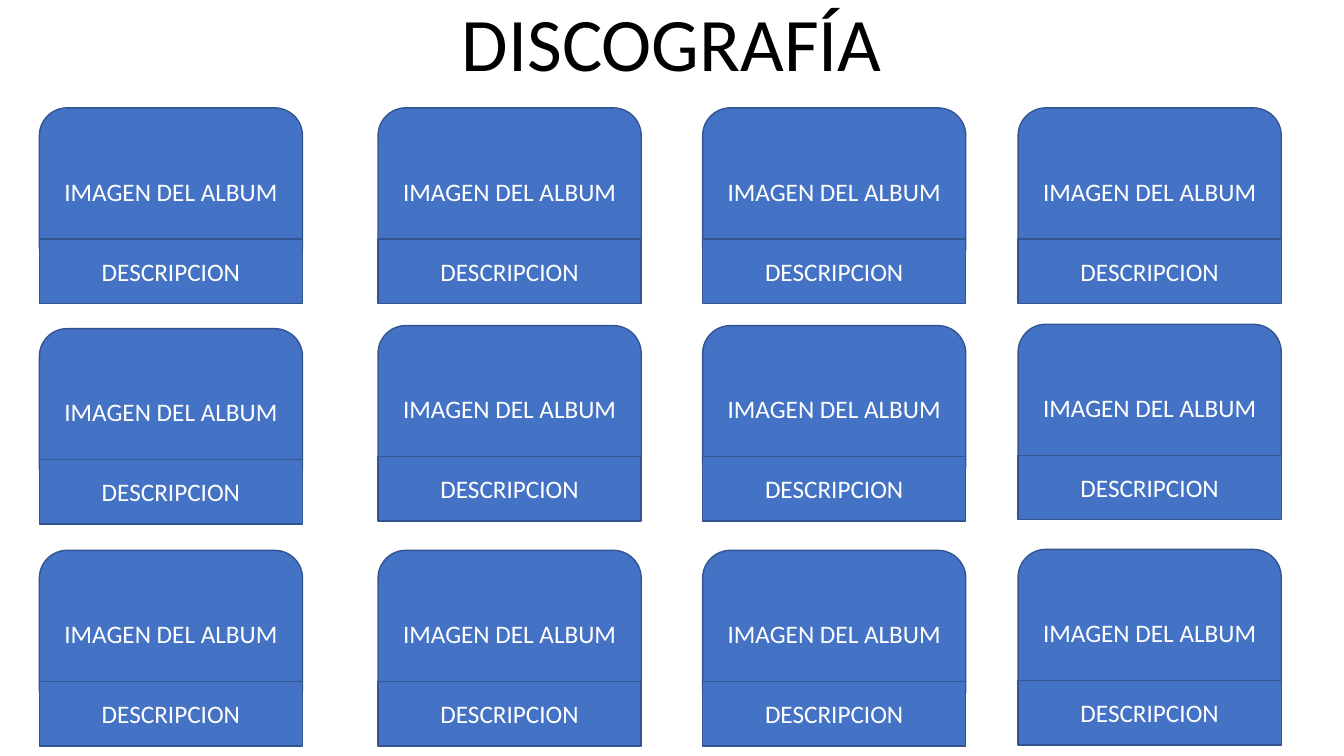
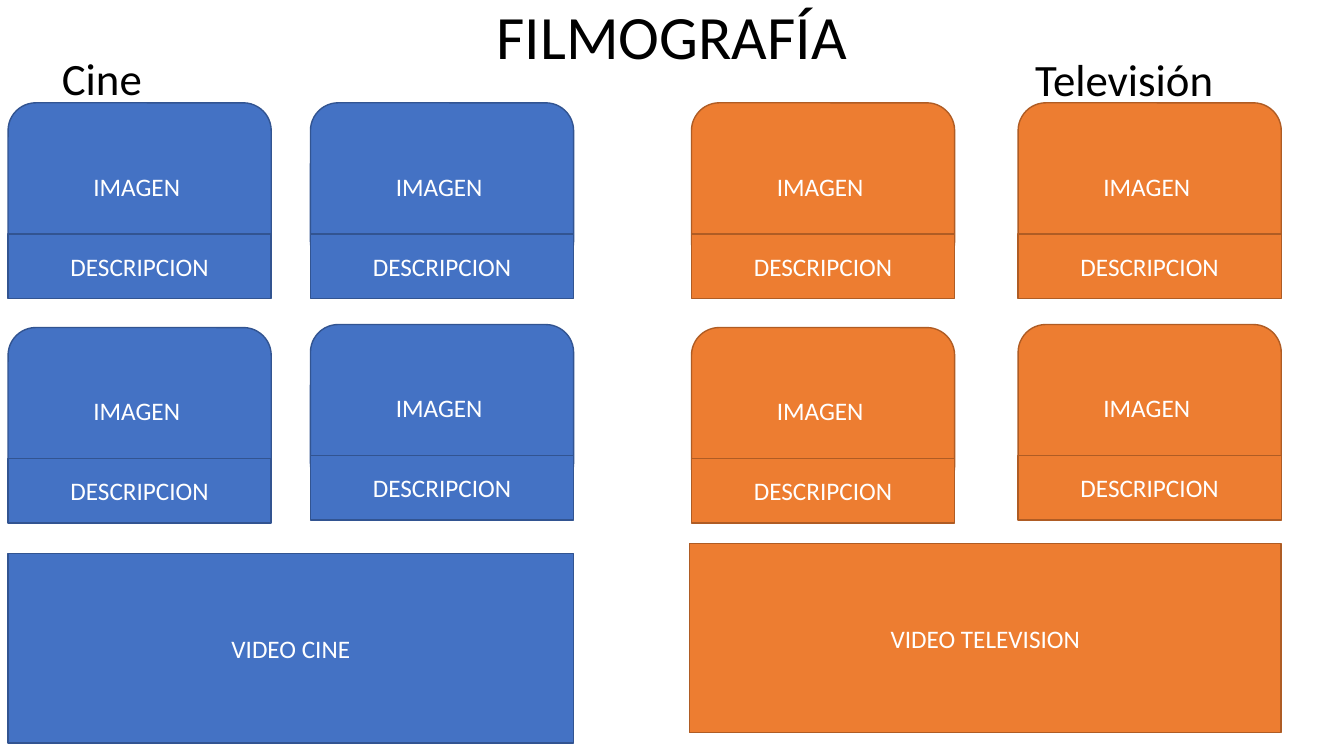
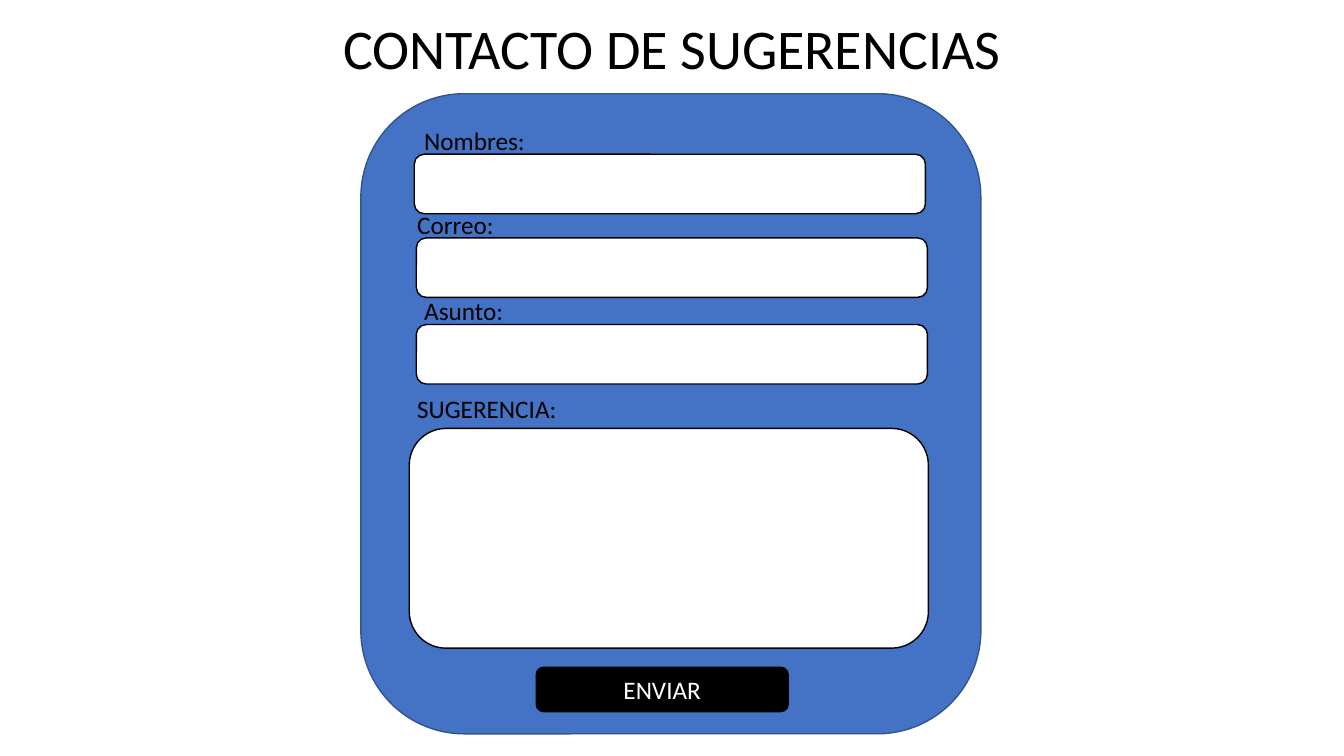
from dataclasses import dataclass
from pptx import Presentation
from pptx.dml.color import RGBColor
from pptx.enum.shapes import MSO_SHAPE
from pptx.enum.text import MSO_ANCHOR, PP_ALIGN
from pptx.util import Inches, Pt

ROUNDED, SQUARE = MSO_SHAPE.ROUNDED_RECTANGLE, MSO_SHAPE.RECTANGLE
LEFT, CENTER = PP_ALIGN.LEFT, PP_ALIGN.CENTER
TOP, MIDDLE = MSO_ANCHOR.TOP, MSO_ANCHOR.MIDDLE


@dataclass(frozen=True)
class Theme:
    font: str = "Calibri"
    ink: str = "000000"
    paper: str = "FFFFFF"
    blue: tuple = ("4472C4", "325491")
    orange: tuple = ("ED7D31", "AF5C24")
    field: tuple = ("FFFFFF", "000000")
    button: tuple = ("000000", "000000")
    body: int = 18
    heading: int = 32
    outline: int = 1


theme = Theme()
deck = Presentation()
deck.slide_width, deck.slide_height = Inches(13.33), Inches(7.5)
column, row = deck.slide_width / 100, deck.slide_height / 100


def add_text(slide, text, box, size=theme.body, color=theme.ink,
             align=LEFT, anchor=TOP, wrap=True, holder=None):
    if holder is None:
        left, top, width, height = box
        holder = slide.shapes.add_textbox(
            int(left * column), int(top * row), int(width * column), int(height * row))
    frame = holder.text_frame
    frame.word_wrap = wrap
    frame.vertical_anchor = anchor
    paragraph = frame.paragraphs[0]
    paragraph.alignment = align
    run = paragraph.add_run()
    run.text = text
    run.font.name = theme.font
    run.font.size = Pt(size)
    run.font.color.rgb = RGBColor.from_string(color)


def add_panel(slide, kind, box, colors, text=""):
    left, top, width, height = box
    panel = slide.shapes.add_shape(
        kind, int(left * column), int(top * row), int(width * column), int(height * row))
    panel.shadow.inherit = False
    fill, outline = colors
    panel.fill.solid()
    panel.fill.fore_color.rgb = RGBColor.from_string(fill)
    panel.line.color.rgb = RGBColor.from_string(outline)
    panel.line.width = Pt(theme.outline)
    if text:
        add_text(slide, text, box, color=theme.paper, align=CENTER,
                 anchor=MIDDLE, holder=panel)


titles = [
    ("DISCOGRAFÍA", 54, -1.2, 37.65, 13.47),
    ("FILMOGRAFÍA", 44, -0.93, 31.35, 11.2),
    ("CONTACTO DE SUGERENCIAS", 40, 1.07, 56.93, 10.27),
]
pages = []
for title, size, top, width, height in titles:
    page = deck.slides.add_slide(deck.slide_layouts[6])
    add_text(page, title, ((100 - width) / 2, top, width, height),
             size=size, align=CENTER, wrap=False)
    pages.append(page)
discography, filmography, contact = pages

add_text(filmography, "Cine", (3.83, 6, 7.5, 8.53),
         size=theme.heading, align=CENTER, wrap=False)
add_text(filmography, "Televisión", (76.28, 6.13, 16.5, 8.53), size=theme.heading)

card_columns = [
    (discography, "IMAGEN DEL ALBUM", theme.blue, 2.93, (14.27, 43.47, 72.8)),
    (discography, "IMAGEN DEL ALBUM", theme.blue, 28.13, (14.27, 43.07, 72.8)),
    (discography, "IMAGEN DEL ALBUM", theme.blue, 52.28, (14.27, 43.07, 72.8)),
    (discography, "IMAGEN DEL ALBUM", theme.blue, 75.75, (14.27, 42.9, 72.67)),
    (filmography, "IMAGEN ", theme.blue, 0.6, (13.6, 43.33)),
    (filmography, "IMAGEN ", theme.blue, 23.1, (13.6, 42.93)),
    (filmography, "IMAGEN ", theme.orange, 51.45, (13.6, 43.33)),
    (filmography, "IMAGEN ", theme.orange, 75.75, (13.6, 42.93)),
]
card_width, image_height, caption_offset, caption_height = 19.58, 22, 17.33, 8.53
for page, image_label, colors, left, tops in card_columns:
    for top in tops:
        add_panel(page, ROUNDED, (left, top, card_width, image_height), colors, image_label)
        add_panel(page, SQUARE, (left, top + caption_offset, card_width, caption_height),
                  colors, "DESCRIPCION")

add_panel(filmography, SQUARE, (0.6, 73.2, 42.08, 25.07), theme.blue, "VIDEO CINE")
add_panel(filmography, SQUARE, (51.3, 71.87, 44.03, 25.07), theme.orange, "VIDEO TELEVISION")

add_panel(contact, ROUNDED, (26.85, 12.4, 46.13, 84.67), theme.blue)
form_fields = [
    ("Nombres:", 30.83, 15.87, (30.83, 20.4, 38.03, 7.87)),
    ("Correo:", 30.3, 27.07, (30.98, 31.47, 38.03, 7.87)),
    ("Asunto:", 30.83, 38.4, (30.98, 42.93, 38.03, 7.87)),
    ("SUGERENCIA:", 30.3, 51.33, (30.45, 56.67, 38.63, 29.07)),
]
for label, left, top, field_box in form_fields:
    add_panel(contact, ROUNDED, field_box, theme.field)
    add_text(contact, label, (left, top, 12.53, 5.33))
add_panel(contact, ROUNDED, (39.9, 88.27, 18.75, 5.87), theme.button, "ENVIAR")

deck.save("out.pptx")
